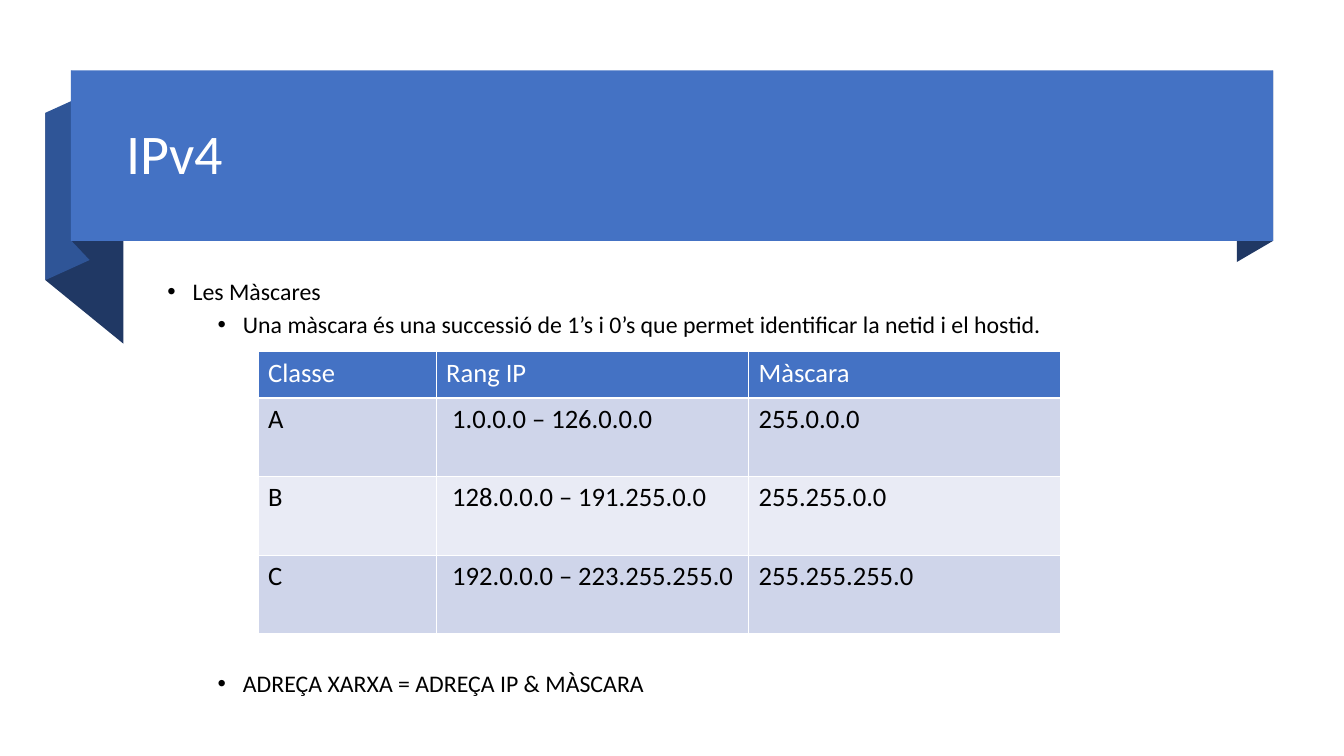
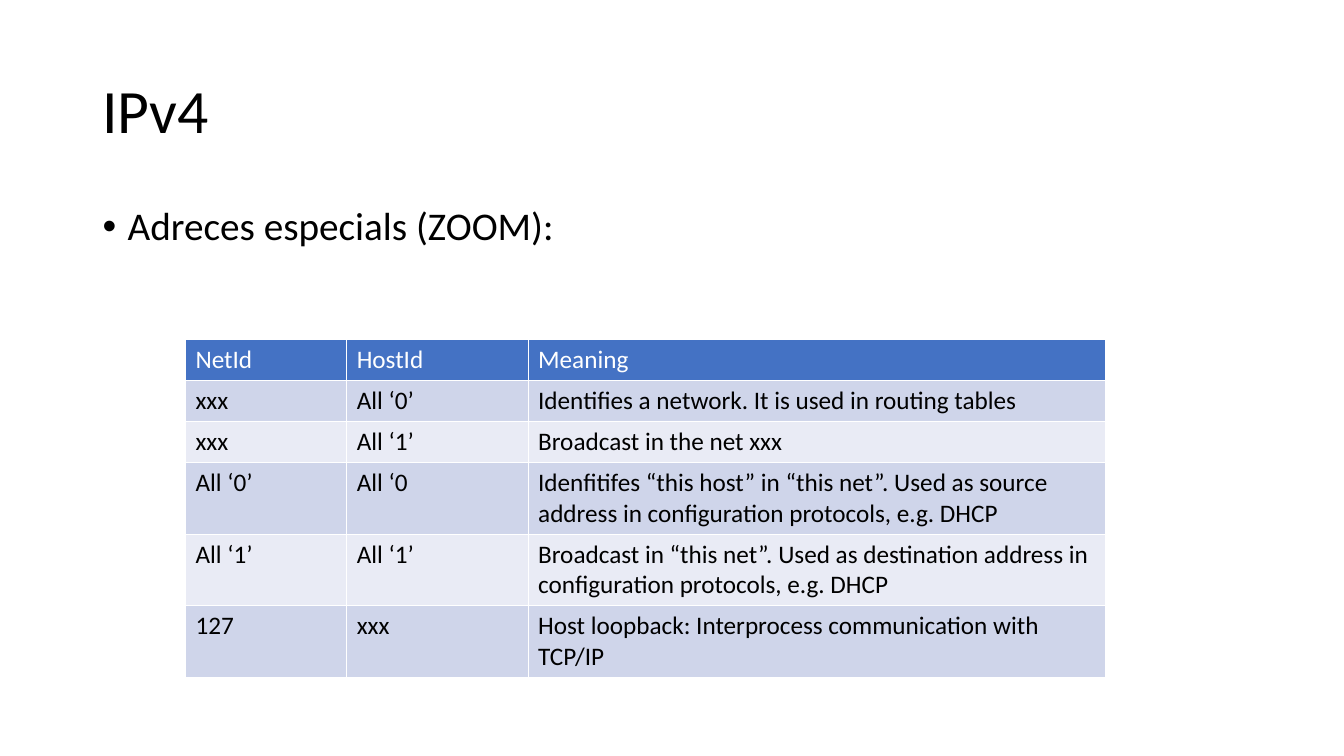
from dataclasses import dataclass

from lxml.etree import SubElement
from pptx import Presentation
from pptx.dml.color import RGBColor
from pptx.enum.shapes import MSO_SHAPE
from pptx.enum.text import MSO_ANCHOR, MSO_AUTO_SIZE, PP_ALIGN
from pptx.oxml.ns import qn
from pptx.slide import Slide
from pptx.text.text import TextFrame
from pptx.util import Emu, Inches, Pt

# Shared look
FONT = "Calibri"
BLACK = RGBColor(0x00, 0x00, 0x00)
WHITE = RGBColor(0xFF, 0xFF, 0xFF)
BLUE = RGBColor(0x44, 0x72, 0xC4)
MID_BLUE = RGBColor(0x2F, 0x55, 0x97)
DARK_BLUE = RGBColor(0x20, 0x38, 0x64)
ROW_FILLS = (RGBColor(0xCF, 0xD5, 0xEA), RGBColor(0xE9, 0xEB, 0xF5))
SLIDE_WIDTH, SLIDE_HEIGHT = Inches(13.33), Inches(7.5)
INDENT = Inches(0.25)
LINE_SPACING = 0.9


def across(percent: float) -> Emu:
    return Emu(round(SLIDE_WIDTH * percent / 100))


def down(percent: float) -> Emu:
    return Emu(round(SLIDE_HEIGHT * percent / 100))


# All lengths below are percentages of the slide's width or height
@dataclass(frozen=True)
class Box:
    left: float
    top: float
    width: float
    height: float

    def place(self) -> tuple[Emu, Emu, Emu, Emu]:
        return across(self.left), down(self.top), across(self.width), down(self.height)


@dataclass(frozen=True)
class Fold:
    """A slanted ribbon piece with upright sides of equal height."""
    left: float
    left_top: float
    right: float
    right_top: float
    height: float
    color: RGBColor


@dataclass(frozen=True)
class Bullet:
    text: str
    size: float
    level: int = 0
    space_before: float = 10


@dataclass(frozen=True)
class Grid:
    left: float
    top: float
    columns: tuple[float, ...]
    rows: tuple[float, ...]
    size: float
    cells: tuple[tuple[str, ...], ...]


# Ribbon behind the first title
BANNER = Box(5.28, 9.33, 89.45, 22.53)
FOLDS = (
    Fold(92.03, 12.13, 94.73, 9.33, 22.53, DARK_BLUE),
    Fold(3.38, 14.93, 9.18, 23.33, 22.13, DARK_BLUE),
    Fold(3.38, 14.93, 6.68, 12.27, 22.13, MID_BLUE),
    Fold(5.33, 9.33, 6.68, 11.87, 22.53, DARK_BLUE),
)

# Slide contents
MASK_BULLETS = (
    Bullet("Les Màscares", 17),
    Bullet("Una màscara és una successió de 1’s i 0’s que permet identificar "
           "la netid i el hostid.", 17, 1, 5),
    Bullet("ADREÇA XARXA = ADREÇA IP & MÀSCARA", 17, 1, 238),
)
MASK_GRID = Grid(19.2, 46.53, (13.25, 23.25, 23.25), (6.13, 10.4, 10.4, 10.4), 19, (
    ("Classe", "Rang IP", "Màscara"),
    ("A", " 1.0.0.0 – 126.0.0.0", "255.0.0.0"),
    ("B", " 128.0.0.0 – 191.255.0.0", "255.255.0.0"),
    ("C", " 192.0.0.0 – 223.255.255.0", "255.255.255.0"),
))
SPECIAL_BULLETS = (Bullet("Adreces especials (ZOOM):", 28),)
SPECIAL_GRID = Grid(13.8, 44.93, (12, 13.5, 43), (5.42,) * 3 + (9.47,) * 3, 18, (
    ("NetId", "HostId", "Meaning"),
    ("xxx", "All ‘0’", "Identifies a network. It is used in routing tables"),
    ("xxx", "All ‘1’", "Broadcast in the net xxx"),
    ("All ‘0’", "All ‘0", "Idenfitifes “this host” in “this net”. Used as source "
     "address in configuration protocols, e.g. DHCP"),
    ("All ‘1’", "All ‘1’", "Broadcast in “this net”. Used as destination address in "
     "configuration protocols, e.g. DHCP"),
    ("127", "xxx", "Host loopback: Interprocess communication with TCP/IP"),
))


def style_font(para, size: float, color: RGBColor) -> None:
    font = para.font
    font.name, font.size, font.bold = FONT, Pt(size), False
    font.color.rgb = color


def place_placeholder(shape, box: Box) -> TextFrame:
    shape.left, shape.top, shape.width, shape.height = box.place()
    frame = shape.text_frame
    frame.word_wrap = True
    frame.auto_size = MSO_AUTO_SIZE.NONE
    return frame


def set_title(page: Slide, box: Box, size: float, color: RGBColor) -> None:
    frame = place_placeholder(page.shapes.title, box)
    frame.vertical_anchor = MSO_ANCHOR.MIDDLE
    para = frame.paragraphs[0]
    para.text = "IPv4"
    para.alignment = PP_ALIGN.LEFT
    para.line_spacing = LINE_SPACING
    style_font(para, size, color)


def set_bullets(page: Slide, box: Box, bullets: tuple[Bullet, ...]) -> None:
    frame = place_placeholder(page.placeholders[1], box)
    for index, bullet in enumerate(bullets):
        para = frame.add_paragraph() if index else frame.paragraphs[0]
        para.text = bullet.text
        para.level = bullet.level
        para.line_spacing = LINE_SPACING
        para.space_before = Pt(bullet.space_before)
        style_font(para, bullet.size, BLACK)
        properties = para._p.get_or_add_pPr()
        properties.set("marL", str(INDENT * (1 + 2 * bullet.level)))
        properties.set("indent", str(-INDENT))
        bullet_font = SubElement(properties, qn("a:buFont"), typeface="Arial")
        bullet_font.addnext(SubElement(properties, qn("a:buChar"), char="•"))
        # Bullet marks come before the default run properties
        for run_defaults in properties.findall(qn("a:defRPr")):
            properties.append(run_defaults)


def paint(shape, color: RGBColor) -> None:
    shape.shadow.inherit = False
    shape.fill.solid()
    shape.fill.fore_color.rgb = color
    shape.line.fill.background()


def add_ribbon(page: Slide) -> None:
    group = page.shapes.add_group_shape()
    for fold in FOLDS:
        left, right = across(fold.left), across(fold.right)
        left_top, right_top = down(fold.left_top), down(fold.right_top)
        height = down(fold.height)
        builder = group.shapes.build_freeform(right, right_top + height)
        builder.add_line_segments(
            [(left, left_top + height), (left, left_top), (right, right_top)], close=True)
        paint(builder.convert_to_shape(), fold.color)
    paint(group.shapes.add_shape(MSO_SHAPE.RECTANGLE, *BANNER.place()), BLUE)
    # Keep the ribbon behind the title
    page.shapes.title.element.addprevious(group.element)


def add_borders(cell) -> None:
    properties = cell._tc.get_or_add_tcPr()
    for side in ("lnL", "lnR", "lnT", "lnB"):
        line = SubElement(properties, qn(f"a:{side}"), w=str(Pt(1)))
        fill = SubElement(line, qn("a:solidFill"))
        SubElement(fill, qn("a:srgbClr"), val=str(WHITE))


def add_grid(page: Slide, grid: Grid) -> None:
    box = Box(grid.left, grid.top, sum(grid.columns), sum(grid.rows))
    table = page.shapes.add_table(
        len(grid.rows), len(grid.columns), *box.place()).table
    for column, width in zip(table.columns, grid.columns):
        column.width = across(width)
    for index, (row, height, texts) in enumerate(zip(table.rows, grid.rows, grid.cells)):
        row.height = down(height)
        fill = ROW_FILLS[(index - 1) % 2] if index else BLUE
        for cell, text in zip(row.cells, texts):
            cell.text = text
            style_font(cell.text_frame.paragraphs[0], grid.size, BLACK if index else WHITE)
            add_borders(cell)
            cell.fill.solid()
            cell.fill.fore_color.rgb = fill


def main() -> None:
    deck = Presentation()
    deck.slide_width, deck.slide_height = SLIDE_WIDTH, SLIDE_HEIGHT
    layout = deck.slide_layouts[1]

    # Masks
    page = deck.slides.add_slide(layout)
    add_ribbon(page)
    set_title(page, Box(8.63, 11.07, 84.53, 19.33), 40, WHITE)
    set_bullets(page, Box(11.7, 36.4, 75, 61.87), MASK_BULLETS)
    add_grid(page, MASK_GRID)

    # Special addresses
    page = deck.slides.add_slide(layout)
    set_title(page, Box(6.88, 5.33, 86.25, 19.33), 44, BLACK)
    set_bullets(page, Box(6.88, 26.67, 86.25, 63.47), SPECIAL_BULLETS)
    add_grid(page, SPECIAL_GRID)

    deck.save("out.pptx")


if __name__ == "__main__":
    main()
